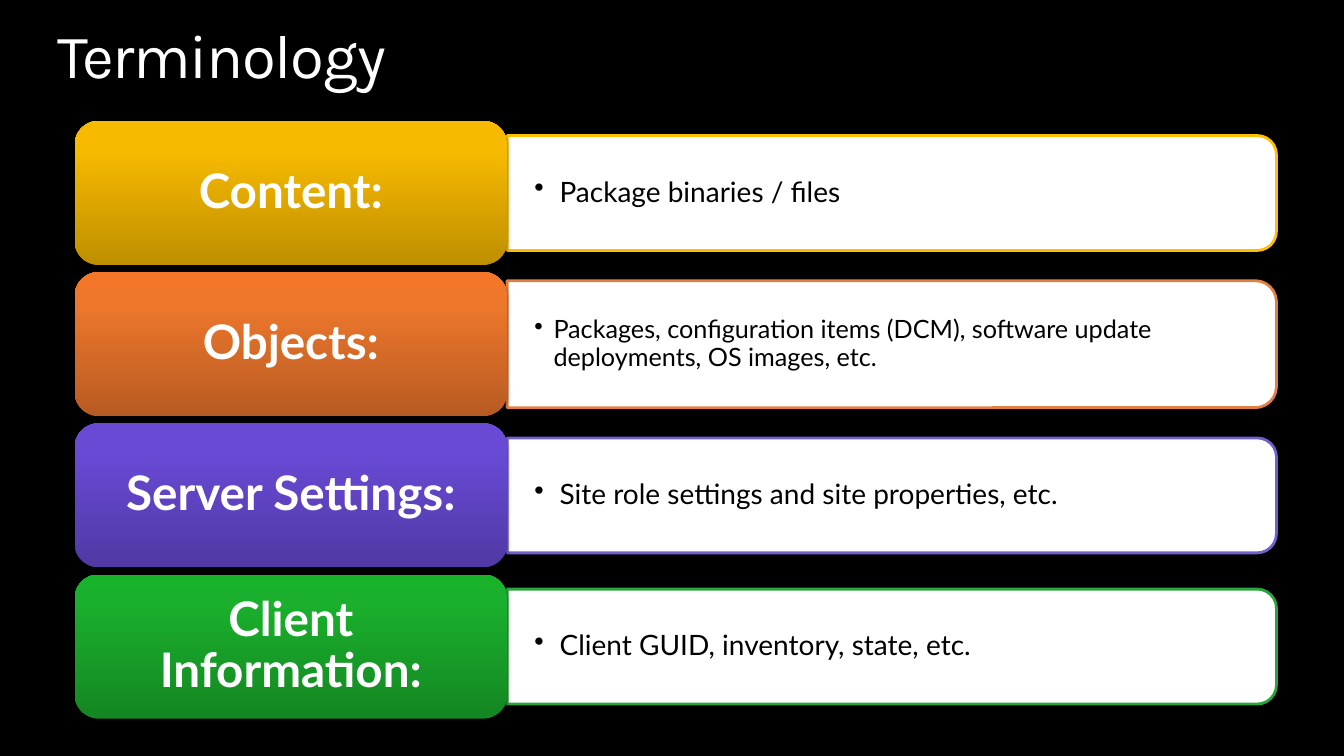
from copy import deepcopy

from lxml.etree import SubElement
from pptx import Presentation
from pptx.dml.color import RGBColor
from pptx.enum.shapes import MSO_SHAPE
from pptx.enum.text import MSO_ANCHOR, PP_ALIGN
from pptx.oxml.ns import qn
from pptx.util import Emu, Pt

EMU_PER_PX = 9144
ROW_TOP, ROW_PITCH = 120, 150
LABEL_LEFT, LABEL_WIDTH, LABEL_HEIGHT = 74, 429, 143
PANEL_WIDTH = 763

ROWS = [
    ("Content:", "Package binaries / files",
     ("BE8F00", "F7BA00", "F8BB00"), "FFC000", 114, 20, 25),
    ("Objects:", "Packages, configuration items (DCM), software update "
     "deployments, OS images, etc.",
     ("B85B22", "EE772C", "F37629"), "DF8045", 126, 18, 19),
    ("Server Settings:", "Site role settings and site properties, etc.",
     ("5039A4", "684AD5", "6748D8"), "755DCB", 114, 20, 25),
    ("Client Information:", "Client GUID, inventory, state, etc.",
     ("148722", "1AAF2C", "18B32A"), "2DA33B", 114, 20, 25),
]


def px(length):
    return Emu(round(length * EMU_PER_PX))


def color(value):
    return RGBColor.from_string(value)


class TerminologySlide:
    heading_font = "Karla"
    body_font = "Lato"
    light = "FFFFFF"
    dark = "000000"

    def __init__(self, deck):
        self.page = deck.slides.add_slide(deck.slide_layouts[6])
        fill = self.page.background.fill
        fill.solid()
        fill.fore_color.rgb = color(self.dark)

    def set_text(self, frame, text, size, font, ink, bold=False, margins=(0, 0)):
        frame.word_wrap = True
        frame.margin_left = frame.margin_right = px(margins[0])
        frame.margin_top = frame.margin_bottom = px(margins[1])
        frame.text = text
        para = frame.paragraphs[0]
        para.line_spacing = 0.9
        span = para.runs[0]
        span.font.name = font
        span.font.size = Pt(size)
        span.font.bold = bold
        span.font.color.rgb = color(ink)
        return para

    def title(self, text):
        box = self.page.shapes.add_textbox(px(57), px(25), px(1219), px(67))
        para = self.set_text(box.text_frame, text, 44, self.heading_font, self.light)
        para.runs[0]._r.get_or_add_rPr().set("spc", "-100")

    def panel(self, middle, height, outline):
        center = LABEL_LEFT + LABEL_WIDTH + PANEL_WIDTH / 2
        shape = self.page.shapes.add_shape(
            MSO_SHAPE.ROUND_2_SAME_RECTANGLE,
            px(center - height / 2), px(middle - PANEL_WIDTH / 2),
            px(height), px(PANEL_WIDTH))
        shape.rotation = 90
        shape.shadow.inherit = False
        shape.fill.solid()
        shape.fill.fore_color.rgb = color(self.light)
        shape.line.color.rgb = color(outline)
        shape.line.width = Pt(2)

    def bullet(self, middle, height, text, size, indent):
        box = self.page.shapes.add_textbox(
            px(LABEL_LEFT + LABEL_WIDTH), px(middle - height / 2), px(757), px(height))
        frame = box.text_frame
        frame.vertical_anchor = MSO_ANCHOR.MIDDLE
        para = self.set_text(frame, text, size, self.body_font, self.dark, margins=(27, 14))
        properties = para._p.get_or_add_pPr()
        properties.set("marL", str(px(indent)))
        properties.set("indent", str(-px(indent)))
        SubElement(properties, qn("a:buChar"), char="•")

    def label(self, top, text, shades):
        shape = self.page.shapes.add_shape(
            MSO_SHAPE.ROUNDED_RECTANGLE,
            px(LABEL_LEFT), px(top), px(LABEL_WIDTH), px(LABEL_HEIGHT))
        shape.line.fill.background()
        self.shade(shape, shades)
        self.cast_shadow(shape)
        frame = shape.text_frame
        frame.vertical_anchor = MSO_ANCHOR.MIDDLE
        para = self.set_text(frame, text, 34, self.body_font, self.light, True, (14, 7))
        para.alignment = PP_ALIGN.CENTER

    def shade(self, shape, shades):
        shape.fill.gradient()
        shape.fill.gradient_angle = 90
        stop_list = shape._element.spPr.find(".//" + qn("a:gsLst"))
        stop_list.insert(1, deepcopy(stop_list[0]))
        for stop, value, position in zip(shape.fill.gradient_stops, shades, (0, 0.8, 1)):
            stop.color.rgb = color(value)
            stop.position = position

    def cast_shadow(self, shape):
        shape.shadow.inherit = False
        effects = shape._element.spPr.find(qn("a:effectLst"))
        shadow = SubElement(effects, qn("a:outerShdw"), blurRad=str(Pt(3.1)),
                            dist=str(Pt(1.8)), dir="5400000", rotWithShape="0")
        tint = SubElement(shadow, qn("a:srgbClr"), val=self.dark)
        SubElement(tint, qn("a:alpha"), val="35000")


def main():
    deck = Presentation()
    deck.slide_width, deck.slide_height = px(1333), px(750)
    slide = TerminologySlide(deck)
    slide.title("Terminology")
    for index, (term, meaning, shades, outline, height, size, indent) in enumerate(ROWS):
        top = ROW_TOP + index * ROW_PITCH
        middle = top + LABEL_HEIGHT / 2
        slide.panel(middle, height, outline)
        slide.bullet(middle, height - 11, meaning, size, indent)
        slide.label(top, term, shades)
    deck.save("out.pptx")


if __name__ == "__main__":
    main()
